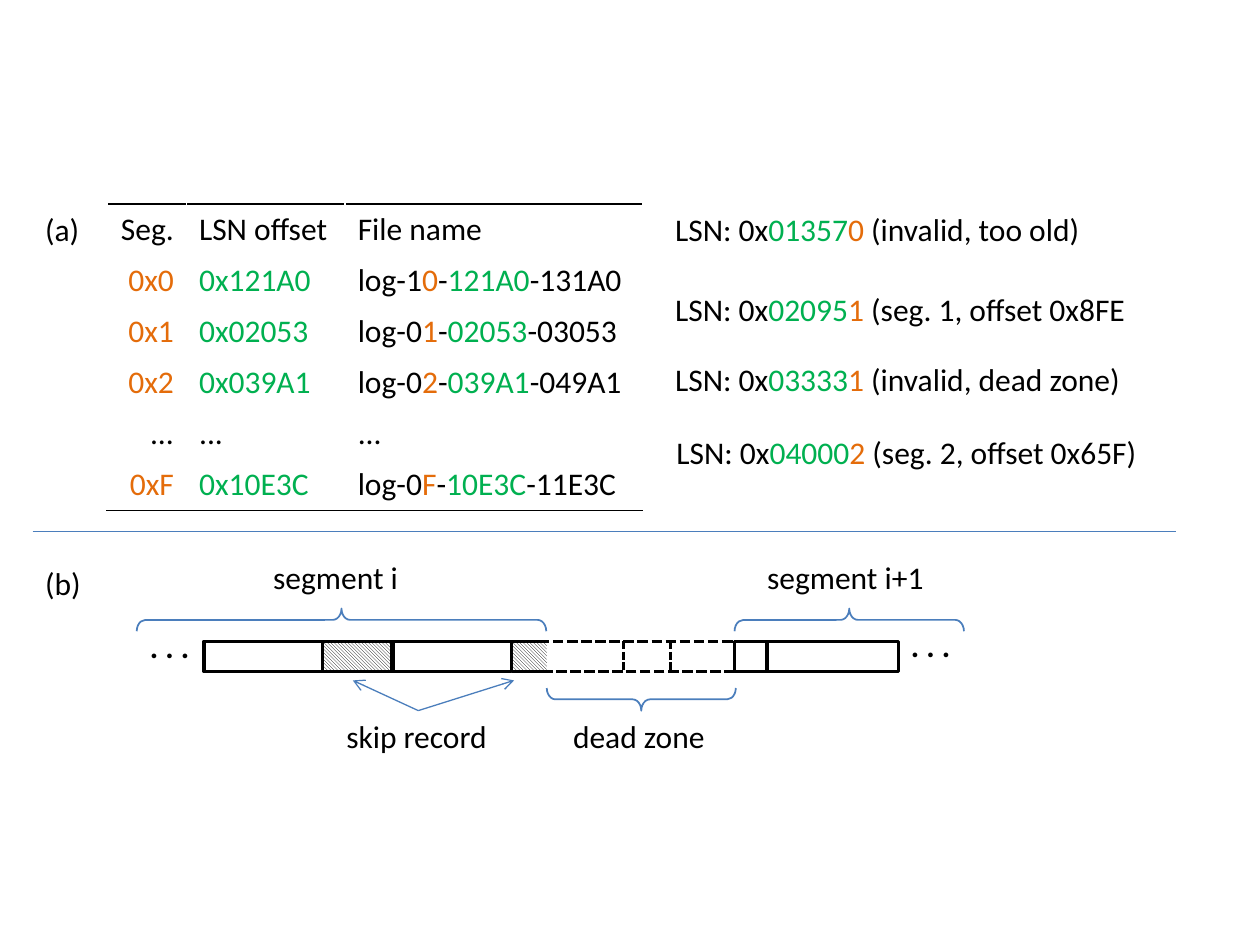
from lxml.etree import SubElement
from pptx import Presentation
from pptx.dml.color import RGBColor
from pptx.enum.dml import MSO_LINE, MSO_PATTERN
from pptx.enum.shapes import MSO_CONNECTOR, MSO_SHAPE
from pptx.enum.text import MSO_AUTO_SIZE, PP_ALIGN
from pptx.oxml import parse_xml
from pptx.oxml.ns import nsdecls, qn
from pptx.util import Inches, Pt

BLACK = RGBColor(0, 0, 0)
WHITE = RGBColor(0xFF, 0xFF, 0xFF)
ORANGE = RGBColor(0xE4, 0x6C, 0x0A)
GREEN = RGBColor(0x00, 0xB0, 0x50)
BLUE = RGBColor(0x4B, 0x7E, 0xBC)

LOG_TOP, LOG_HEIGHT = 5.09, 0.24
LOG_BOTTOM = LOG_TOP + LOG_HEIGHT
BRACE_DEPTH = 0.18


def write(tf, runs, bold=False):
    p = tf.paragraphs[0]
    p.font.name = "Calibri"
    p.font.size = Pt(18)
    p.font.bold = bold
    for text, color in runs:
        r = p.add_run()
        r.text = text
        r.font.color.rgb = color
    return p


def add_label(slide, left, top, width, runs, bold=False):
    sp = slide.shapes.add_textbox(Inches(left), Inches(top), Inches(width), Inches(0.4))
    tf = sp.text_frame
    tf.word_wrap = False
    tf.auto_size = MSO_AUTO_SIZE.SHAPE_TO_FIT_TEXT
    write(tf, runs, bold)


def add_line(slide, start, end, color, width, dash=None, arrow=False):
    points = [Inches(v) for v in (*start, *end)]
    line = slide.shapes.add_connector(MSO_CONNECTOR.STRAIGHT, *points)
    line.line.color.rgb = color
    line.line.width = Pt(width)
    if dash:
        line.line.dash_style = dash
    if arrow:
        SubElement(line.line._get_or_add_ln(), qn("a:tailEnd"), type="arrow")
    SubElement(line._element.spPr, qn("a:effectLst"))


def add_block(slide, left, width, fill=WHITE, hatched=False, outline=True, dash=None):
    sp = slide.shapes.add_shape(MSO_SHAPE.RECTANGLE, Inches(left), Inches(LOG_TOP),
                                Inches(width), Inches(LOG_HEIGHT))
    sp.shadow.inherit = False
    if hatched:
        sp.fill.patterned()
        sp.fill.pattern = MSO_PATTERN.LIGHT_DOWNWARD_DIAGONAL
        sp.fill.fore_color.rgb = BLACK
        sp.fill.back_color.rgb = WHITE
    elif fill is None:
        sp.fill.background()
    else:
        sp.fill.solid()
        sp.fill.fore_color.rgb = fill
    if outline:
        sp.line.color.rgb = BLACK
        sp.line.width = Pt(2)
        if dash:
            sp.line.dash_style = dash
    else:
        sp.line.fill.background()


def add_brace(slide, center_x, center_y, length, rotation):
    sp = slide.shapes.add_shape(
        MSO_SHAPE.LEFT_BRACE, Inches(center_x - BRACE_DEPTH / 2),
        Inches(center_y - length / 2), Inches(BRACE_DEPTH), Inches(length))
    sp.rotation = rotation
    sp.adjustments[0] = 0.38
    sp.shadow.inherit = False
    sp.fill.background()
    sp.line.color.rgb = BLUE
    sp.line.width = Pt(1)


def add_border(cell, side):
    cell._tc.get_or_add_tcPr().insert(0, parse_xml(
        f'<a:{side} {nsdecls("a")} w="12700"><a:solidFill>'
        f'<a:srgbClr val="{BLACK}"/></a:solidFill></a:{side}>'))


def segment_row(seg, offset, prefix="0"):
    end = f"{int(offset, 16) + 0x1000:05X}"
    name = [(f"log-{prefix}", BLACK), (seg, ORANGE), ("-", BLACK),
            (offset, GREEN), (f"-{end}", BLACK)]
    return [[(f"0x{seg}", ORANGE)], [(f"0x{offset}", GREEN)], name]


def add_segment_table(slide):
    rows = [
        [[(text, BLACK)] for text in ("Seg.", "LSN offset", "File name")],
        segment_row("0", "121A0", "1"),
        segment_row("1", "02053"),
        segment_row("2", "039A1"),
        [[("...", BLACK)]] * 3,
        segment_row("F", "10E3C"),
    ]
    table = slide.shapes.add_table(len(rows), 3, Inches(0.85), Inches(1.62),
                                   Inches(4.25), Inches(2.43)).table
    table.first_row = False
    table.horz_banding = False
    for column, width in zip(table.columns, (0.63, 1.26, 2.36)):
        column.width = Inches(width)
    for i, row in enumerate(rows):
        for j, runs in enumerate(row):
            cell = table.cell(i, j)
            cell.fill.background()
            p = write(cell.text_frame, runs)
            if j == 0:
                p.alignment = PP_ALIGN.RIGHT
                cell.margin_left = Inches(0.05)
            if i == 0:
                add_border(cell, "lnT")
            if i == len(rows) - 1:
                add_border(cell, "lnB")


def add_lookups(slide):
    for left, top, width, offset, seg, result in (
            (5.26, 1.62, 3.45, "01357", "0", "(invalid, too old)"),
            (5.26, 2.25, 3.82, "02095", "1", "(seg. 1, offset 0x8FE"),
            (5.26, 2.81, 3.78, "03333", "1", "(invalid, dead zone)"),
            (5.27, 3.39, 3.90, "04000", "2", "(seg. 2, offset 0x65F)")):
        add_label(slide, left, top, width, [
            ("LSN: 0x", BLACK), (offset, GREEN), (f"{seg} ", ORANGE), (result, BLACK)])


def add_log(slide):
    add_block(slide, 4.06, 0.28, hatched=True, outline=False)
    add_block(slide, 1.62, 0.94)
    add_block(slide, 2.56, 0.55, hatched=True)
    add_block(slide, 3.12, 0.94)
    add_block(slide, 4.06, 1.77, fill=None, dash=MSO_LINE.SQUARE_DOT)
    add_block(slide, 5.83, 0.26)
    add_block(slide, 6.09, 1.04)
    for x in (4.95, 5.32):
        add_line(slide, (x, LOG_TOP), (x, LOG_BOTTOM), BLACK, 1.5, MSO_LINE.SQUARE_DOT)
    for y in (LOG_TOP, LOG_BOTTOM):
        add_line(slide, (4.06, y), (4.34, y), BLACK, 1.5)
    add_brace(slide, 2.71, 4.92, 3.25, 90)
    add_brace(slide, 6.74, 4.92, 1.82, 90)
    add_brace(slide, 5.09, 5.55, 1.5, 270)
    for x in (2.8, 4.08):
        add_line(slide, (3.32, 5.64), (x, 5.4), BLUE, 0.75, arrow=True)


def main():
    prs = Presentation()
    prs.slide_width, prs.slide_height = Inches(10), Inches(7.5)
    slide = prs.slides.add_slide(prs.slide_layouts[6])
    add_segment_table(slide)
    add_lookups(slide)
    add_log(slide)
    for left, top, width, text in (
            (0.26, 1.62, 0.48, "(a)"), (0.26, 4.43, 0.49, "(b)"),
            (2.07, 4.38, 1.2, "segment i"), (5.99, 4.38, 1.46, "segment i+1"),
            (2.65, 5.64, 1.33, "skip record"), (4.45, 5.64, 1.26, "dead zone")):
        add_label(slide, left, top, width, [(text, BLACK)])
    for left, top in ((1.09, 4.93), (7.13, 4.92)):
        add_label(slide, left, top, 0.52, [(". . .", BLACK)], bold=True)
    add_line(slide, (0.26, 4.22), (9.33, 4.22), BLUE, 0.75)
    prs.save("out.pptx")


main()
